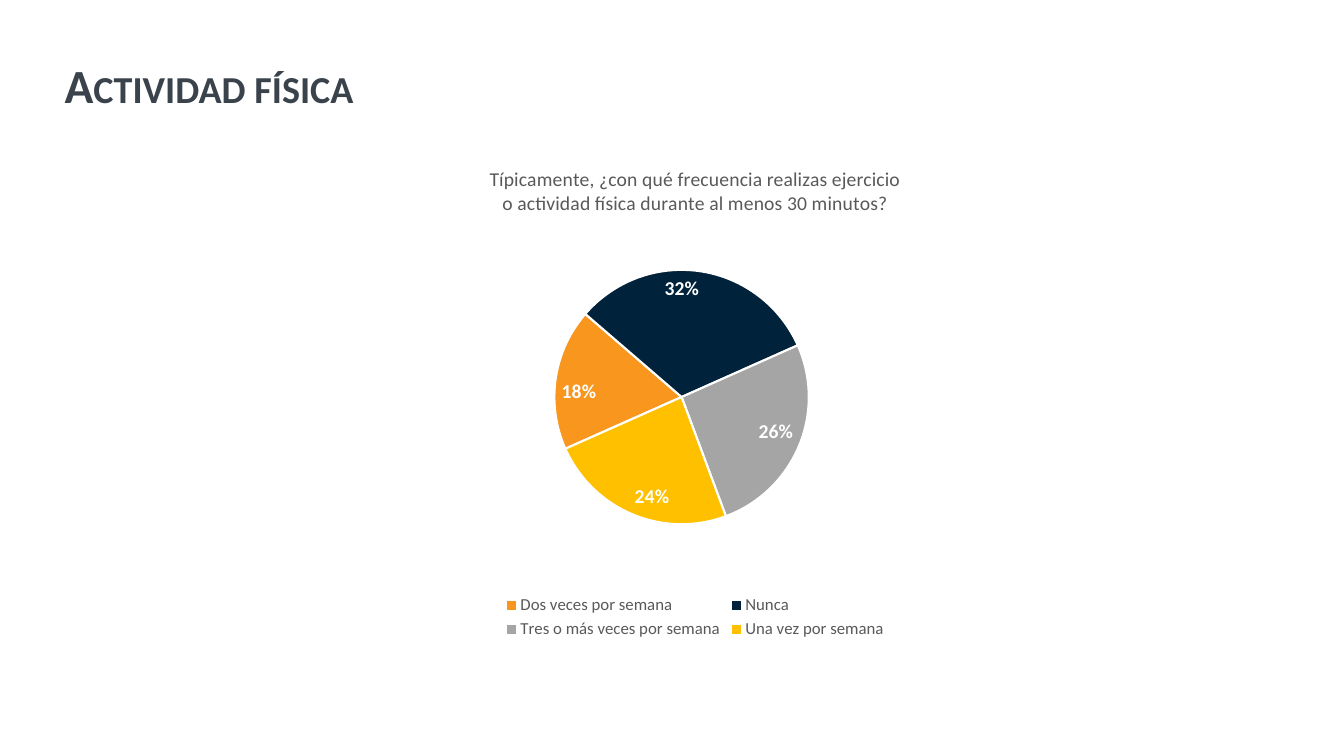
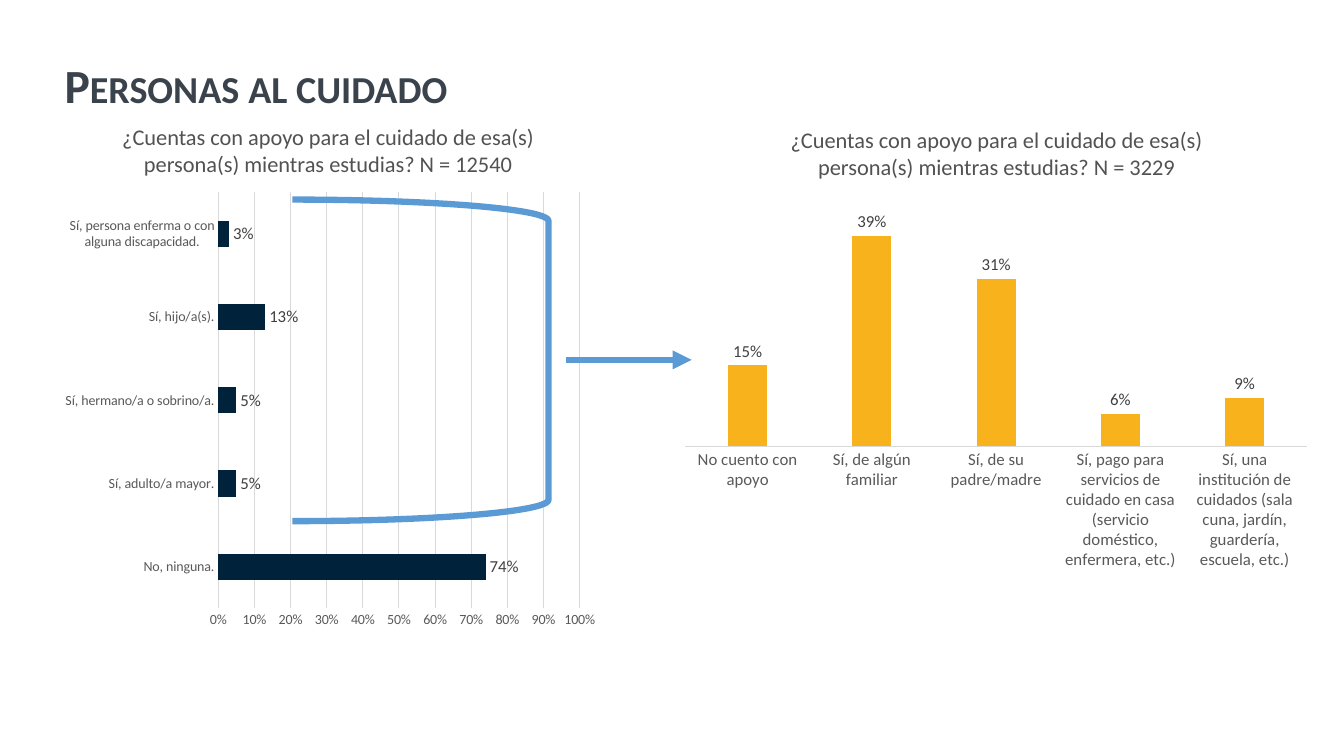
from lxml import etree
from pptx import Presentation
from pptx.chart.data import CategoryChartData
from pptx.dml.color import RGBColor
from pptx.enum.chart import (XL_CHART_TYPE, XL_LABEL_POSITION,
                             XL_LEGEND_POSITION, XL_TICK_MARK)
from pptx.enum.shapes import MSO_CONNECTOR, MSO_SHAPE
from pptx.enum.text import MSO_ANCHOR, MSO_AUTO_SIZE, PP_ALIGN
from pptx.oxml.ns import qn
from pptx.util import Inches, Pt

PIE, BAR, COLUMN = (XL_CHART_TYPE.PIE, XL_CHART_TYPE.BAR_CLUSTERED,
                    XL_CHART_TYPE.COLUMN_CLUSTERED)
IN_END, OUT_END = XL_LABEL_POSITION.INSIDE_END, XL_LABEL_POSITION.OUTSIDE_END
BOTTOM = XL_LEGEND_POSITION.BOTTOM
NO_TICK = XL_TICK_MARK.NONE
LEFT, CENTER = PP_ALIGN.LEFT, PP_ALIGN.CENTER
MIDDLE = MSO_ANCHOR.MIDDLE
NO_FIT = MSO_AUTO_SIZE.NONE
STRAIGHT = MSO_CONNECTOR.STRAIGHT
BRACKET = MSO_SHAPE.RIGHT_BRACKET

FONT = "Calibri"
SLATE = RGBColor(0x3A, 0x43, 0x4C)
TEXT = RGBColor(0x52, 0x52, 0x52)
GRAY = RGBColor(0x59, 0x59, 0x59)
DARK = RGBColor(0x40, 0x40, 0x40)
RULE = RGBColor(0xD9, 0xD9, 0xD9)
WHITE = RGBColor(0xFF, 0xFF, 0xFF)
NAVY = RGBColor(0x00, 0x22, 0x3A)
ORANGE = RGBColor(0xF8, 0x96, 0x1E)
SILVER = RGBColor(0xA5, 0xA5, 0xA5)
GOLD = RGBColor(0xFF, 0xC0, 0x00)
AMBER = RGBColor(0xF8, 0xB3, 0x1C)
BLUE = RGBColor(0x5B, 0x9B, 0xD5)

TITLE_BOX = (0.54, 0.4, 12.73, 0.94)

HABIT = "Típicamente, ¿con qué frecuencia realizas ejercicio o actividad física durante al menos 30 minutos?"
HABITS = [
    ("Dos veces por semana", 0.18, ORANGE),
    ("Nunca", 0.32, NAVY),
    ("Tres o más veces por semana", 0.26, SILVER),
    ("Una vez por semana", 0.24, GOLD),
]
CARE = "¿Cuentas con apoyo para el cuidado de esa(s) persona(s) mientras estudias? N = "
WARDS = [
    ("No, ninguna.", 0.74),
    ("Sí, adulto/a mayor.", 0.05),
    ("Sí, hermano/a o sobrino/a.", 0.05),
    ("Sí, hijo/a(s).", 0.13),
    ("Sí, persona enferma o con alguna discapacidad.", 0.03),
]
HELPERS = [
    ("No cuento con apoyo", 0.15),
    ("Sí, de algún familiar", 0.39),
    ("Sí, de su padre/madre", 0.31),
    ("Sí, pago para servicios de cuidado en casa (servicio doméstico, enfermera, etc.)", 0.06),
    ("Sí, una institución de cuidados (sala cuna, jardín, guardería, escuela, etc.)", 0.09),
]


def style(font, size, color, bold=False):
    font.name, font.size, font.bold = FONT, Pt(size), bold
    font.color.rgb = color


def stroke(line, color, width):
    line.color.rgb = color
    line.width = Pt(width)


def add_slide(prs, text):
    """Add a title-only slide with its small-caps heading."""
    slide = prs.slides.add_slide(prs.slide_layouts[5])
    title = slide.shapes.title
    title.left, title.top, title.width, title.height = map(Inches, TITLE_BOX)
    frame = title.text_frame
    frame.word_wrap, frame.auto_size = True, NO_FIT
    frame.vertical_anchor = MIDDLE
    para = frame.paragraphs[0]
    para.alignment, para.line_spacing = LEFT, 0.9
    run = para.add_run()
    run.text = text
    style(run.font, 34, SLATE, True)
    run._r.get_or_add_rPr().set("cap", "small")
    return slide


def add_question(slide, box, text):
    frame = slide.shapes.add_textbox(*map(Inches, box)).text_frame
    frame.word_wrap = True
    para = frame.paragraphs[0]
    para.alignment = CENTER
    run = para.add_run()
    run.text = text
    style(run.font, 16, TEXT)


def add_chart(slide, box, kind, rows):
    data = CategoryChartData(number_format="0%")
    data.categories = [row[0] for row in rows]
    data.add_series("Series 1", [row[1] for row in rows])
    chart = slide.shapes.add_chart(kind, *map(Inches, box), data).chart
    style(chart.font, 10, GRAY)
    chart.has_title = chart.has_legend = False
    return chart


def add_labels(series, pos, size, color, bold=False):
    labels = series.data_labels
    labels.show_value = True
    labels.number_format, labels.number_format_is_linked = "0%", False
    labels.position = pos
    style(labels.font, size, color, bold)


def set_plot(chart, box):
    """Fix the inner plot area, as fractions of the chart."""
    area = chart.plots[0]._element.getparent()
    for old in area.findall(qn("c:layout")):
        area.remove(old)
    layout = etree.Element(qn("c:layout"))
    manual = etree.SubElement(layout, qn("c:manualLayout"))
    parts = [("layoutTarget", "inner"), ("xMode", "edge"), ("yMode", "edge")]
    for name, val in parts + list(zip("xywh", box)):
        etree.SubElement(manual, qn("c:" + name)).set("val", str(val))
    area.insert(0, layout)


def add_pie(slide, box):
    chart = add_chart(slide, box, PIE, HABITS)
    chart.has_title = True
    run = chart.chart_title.text_frame.paragraphs[0].add_run()
    run.text = HABIT
    style(run.font, 14, GRAY)
    chart.has_legend = True
    chart.legend.position = BOTTOM
    chart.legend.include_in_layout = False
    style(chart.legend.font, 12, GRAY)
    plot = chart.plots[0]
    plot.vary_by_categories = True
    series = plot.series[0]
    for i, (_, _, color) in enumerate(HABITS):
        form = series.points[i].format
        form.fill.solid()
        form.fill.fore_color.rgb = color
        stroke(form.line, WHITE, 1.5)
    add_labels(series, IN_END, 14, WHITE, True)
    pie = plot._element
    for old in pie.findall(qn("c:firstSliceAng")):
        pie.remove(old)
    etree.SubElement(pie, qn("c:firstSliceAng")).set("val", "246")
    set_plot(chart, (0.24, 0.22, 0.47, 0.57))


def add_bars(slide, box, kind, rows, color, size):
    """Add a bar or column chart; size is that of the category text."""
    chart = add_chart(slide, box, kind, rows)
    plot = chart.plots[0]
    plot.vary_by_categories = False
    plot.gap_width = 219
    series = plot.series[0]
    series.format.fill.solid()
    series.format.fill.fore_color.rgb = color
    add_labels(series, OUT_END, 12, DARK)
    cats, vals = chart.category_axis, chart.value_axis
    for axis in (cats, vals):
        axis.major_tick_mark = axis.minor_tick_mark = NO_TICK
    style(cats.tick_labels.font, size, GRAY)
    stroke(cats.format.line, RULE, 0.75)
    vals.minimum_scale = 0
    vals.has_major_gridlines = False
    return chart


def add_wards(slide, box):
    chart = add_bars(slide, box, BAR, WARDS, NAVY, 10)
    axis = chart.value_axis
    axis.maximum_scale, axis.major_unit = 1, 0.1
    axis.format.line.fill.background()
    axis.has_major_gridlines = True
    stroke(axis.major_gridlines.format.line, RULE, 0.75)
    labels = axis.tick_labels
    labels.number_format, labels.number_format_is_linked = "0%", False
    style(labels.font, 10, GRAY)


def add_helpers(slide, box):
    chart = add_bars(slide, box, COLUMN, HELPERS, AMBER, 12)
    chart.plots[0].overlap = -27
    chart.value_axis.visible = False


def add_link(slide, box, start, end):
    """Bracket the cared-for groups and point to the second chart."""
    brace = slide.shapes.add_shape(BRACKET, *map(Inches, box))
    brace.shadow.inherit = False
    brace.adjustments[0] = 0.083
    brace.fill.background()
    stroke(brace.line, BLUE, 4.5)
    arrow = slide.shapes.add_connector(STRAIGHT, *map(Inches, start + end))
    stroke(arrow.line, BLUE, 4.5)
    tail = etree.SubElement(arrow.line._get_or_add_ln(), qn("a:tailEnd"))
    tail.set("type", "triangle")
    etree.SubElement(arrow._element.spPr, qn("a:effectLst"))


def main():
    prs = Presentation()
    prs.slide_width, prs.slide_height = Inches(13.33), Inches(7.5)

    slide = add_slide(prs, "Actividad física")
    add_pie(slide, (4.21, 1.45, 5.37, 4.93))

    slide = add_slide(prs, "Personas al cuidado")
    add_helpers(slide, (6.67, 1.94, 6.42, 3.79))
    add_wards(slide, (0.54, 1.82, 5.47, 4.5))
    add_link(slide, (2.9, 1.98, 2.54, 3.19), (5.61, 3.57), (6.86, 3.57))
    add_question(slide, (7.72, 1.2, 4.33, 0.64), CARE + "3229")
    add_question(slide, (0.91, 1.17, 4.69, 0.64), CARE + "12540")

    prs.save("out.pptx")


if __name__ == "__main__":
    main()
